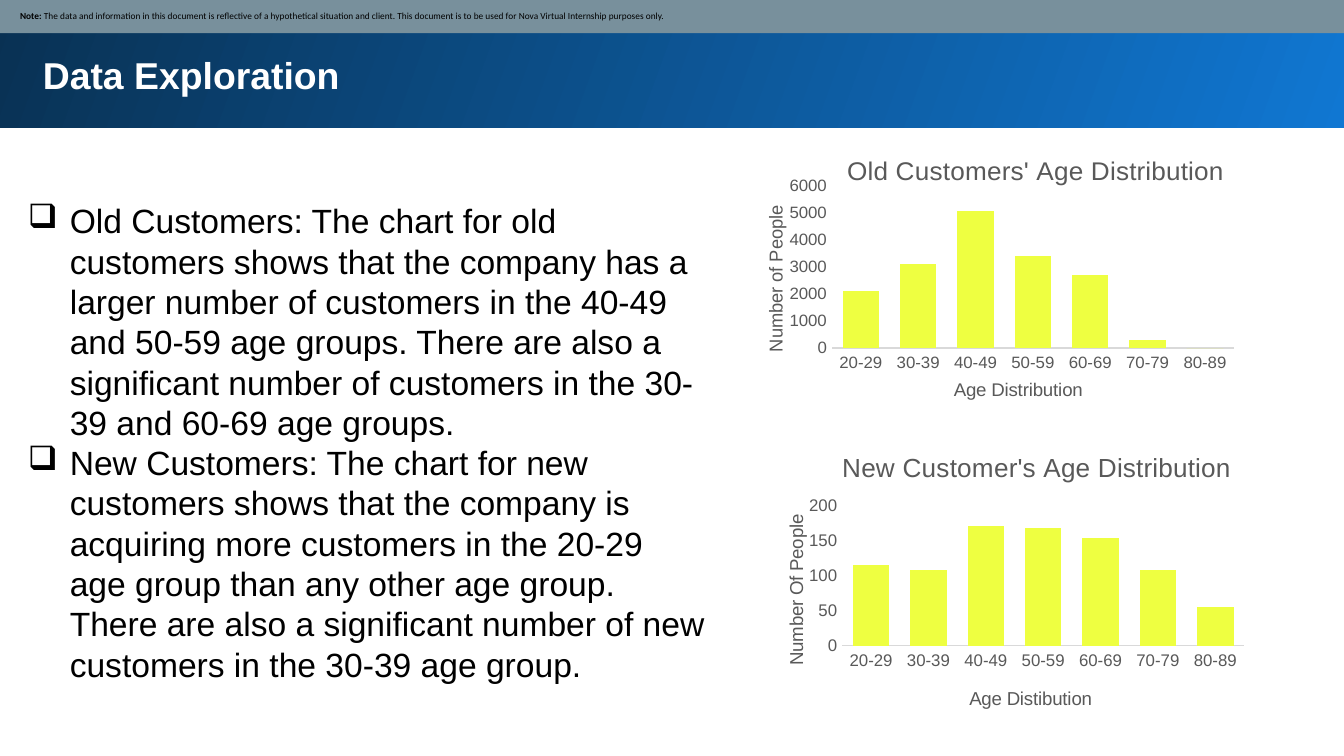
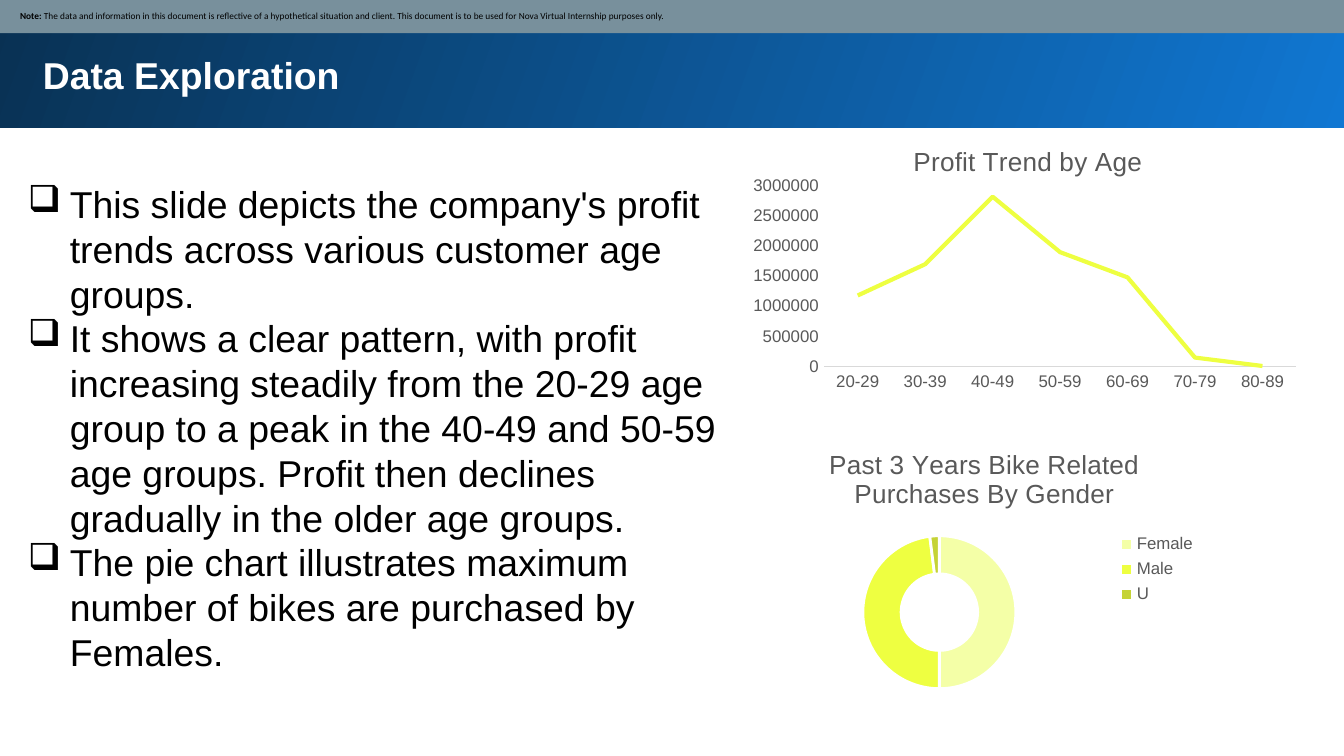
from lxml.etree import SubElement
from pptx import Presentation
from pptx.chart.data import CategoryChartData
from pptx.dml.color import RGBColor
from pptx.enum.chart import XL_CHART_TYPE as ChartType, XL_LEGEND_POSITION as LegendPosition
from pptx.enum.chart import XL_MARKER_STYLE as Marker, XL_TICK_MARK as Tick
from pptx.enum.shapes import MSO_SHAPE as Shape
from pptx.enum.text import MSO_ANCHOR as Anchor, PP_ALIGN as Align
from pptx.oxml import parse_xml
from pptx.oxml.ns import nsdecls, qn
from pptx.util import Cm, Pt

BLACK = RGBColor(0x00, 0x00, 0x00)
WHITE = RGBColor(0xFF, 0xFF, 0xFF)
BRIGHT_BLUE = RGBColor(0x10, 0x77, 0xD2)
NAVY = RGBColor(0x09, 0x31, 0x53)
SLATE = RGBColor(0x78, 0x90, 0x9C)
GREY = RGBColor(0x59, 0x59, 0x59)
LIGHT_GREY = RGBColor(0xD9, 0xD9, 0xD9)
PALE_YELLOW = RGBColor(0xF4, 0xFF, 0xA7)
YELLOW = RGBColor(0xEE, 0xFF, 0x41)
OLIVE = RGBColor(0xC5, 0xD3, 0x36)

BAND = (-0.08, 0.08, 25.53, 2.34)
TITLE = (0.56, 0.74, 23.8, 1.37)
NOTE = (-0.03, -0.03, 25.48, 0.66)
NOTE_TEXT = (
    "Note: ",
    "The data and information in this document is reflective of a hypothetical situation "
    "and client. This document is to be used for Nova Virtual Internship purposes only.",
)
AGES = ["20-29", "30-39", "40-49", "50-59", "60-69", "70-79", "80-89"]

SLIDES = [
    {
        "title": "Data Exploration",
        "text_at": (0.28, 3.66, 13.36, 9.5),
        "size": 18,
        "bullets": [
            "Old Customers: The chart for old customers shows that the company has a larger "
            "number of customers in the 40-49 and 50-59 age groups. There are also a "
            "significant number of customers in the 30-39 and 60-69 age groups.",
            "New Customers: The chart for new customers shows that the company is acquiring "
            "more customers in the 20-29 age group than any other age group. There are also "
            "a significant number of new customers in the 30-39 age group.",
        ],
        "charts": [
            {
                "kind": ChartType.COLUMN_CLUSTERED,
                "at": (14.17, 2.57, 9.73, 5.11),
                "title": "Old Customers' Age Distribution",
                "title_at": (0.18, 0.05),
                "categories": AGES,
                "values": [2100, 3100, 5100, 3400, 2700, 300, 0],
                "plot_at": (0.16, 0.19, 0.78, 0.61),
                "category_title": ("Age Distribution", (0.39, 0.9)),
                "value_title": ("Number of People", (0.02, 0.26)),
            },
            {
                "kind": ChartType.COLUMN_CLUSTERED,
                "at": (14.17, 8.15, 9.73, 5.41),
                "title": "New Customer's Age Distribution",
                "title_at": (0.17, 0.05),
                "categories": AGES,
                "values": [115, 108, 171, 168, 153, 108, 55],
                "plot_at": (0.18, 0.26, 0.78, 0.49),
                "category_title": ("Age Distibution", (0.42, 0.88)),
                "value_title": ("Number Of People", (0.06, 0.28)),
            },
        ],
    },
    {
        "title": "Data Exploration",
        "text_at": (0.28, 3.3, 13.92, 9.65),
        "size": 20,
        "bullets": [
            "This slide depicts the company's profit trends across various customer age groups.",
            "It shows a clear pattern, with profit increasing steadily from the 20-29 age group "
            "to a peak in the 40-49 and 50-59 age groups. Profit then declines gradually in the "
            "older age groups.",
            "The pie chart illustrates maximum number of bikes are purchased by Females.",
        ],
        "charts": [
            {
                "kind": ChartType.LINE,
                "at": (13.92, 2.41, 11.02, 5.26),
                "title": "Profit Trend by Age",
                "categories": AGES,
                "values": [1180000, 1700000, 2820000, 1900000, 1480000, 150000, 10000],
                "plot_at": (0.15, 0.21, 0.81, 0.65),
            },
            {
                "kind": ChartType.DOUGHNUT,
                "at": (14.35, 8.13, 8.51, 5.26),
                "title": "Past 3 Years Bike Related Purchases By Gender",
                "categories": ["Female", "Male", "U"],
                "values": [50, 48, 2],
                "plot_at": (0.23, 0.38, 0.34, 0.55),
            },
        ],
    },
]


def lengths(at):
    return [Cm(value) for value in at]


def style(font, size, color, bold=False, name="Arial"):
    font.name = name
    font.size = Pt(size)
    font.bold = bold
    font.color.rgb = color


def add_run(para, text, *look, **options):
    span = para.add_run()
    span.text = text
    style(span.font, *look, **options)


def add_bar(page, at):
    bar = page.shapes.add_shape(Shape.RECTANGLE, *lengths(at))
    bar.shadow.inherit = False
    bar.line.fill.background()
    return bar


def add_text_box(page, at):
    box = page.shapes.add_textbox(*lengths(at))
    box.text_frame.word_wrap = True
    return box.text_frame


def add_header(page, title):
    band = add_bar(page, BAND)
    band.fill.gradient()
    band.fill.gradient_angle = 160
    for stop, color in zip(band.fill.gradient_stops, (BRIGHT_BLUE, NAVY)):
        stop.color.rgb = color

    frame = add_text_box(page, TITLE)
    frame.margin_left = frame.margin_right = Cm(0.25)
    frame.margin_top = frame.margin_bottom = Cm(0.25)
    add_run(frame.paragraphs[0], title, 20, WHITE, bold=True)

    note = add_bar(page, NOTE)
    note.fill.solid()
    note.fill.fore_color.rgb = SLATE
    frame = note.text_frame
    frame.word_wrap = True
    frame.vertical_anchor = Anchor.MIDDLE
    frame.margin_left = Cm(0.41)
    frame.margin_right = frame.margin_top = frame.margin_bottom = Cm(0.13)
    para = frame.paragraphs[0]
    para.alignment = Align.LEFT
    for text, bold in zip(NOTE_TEXT, (True, False)):
        add_run(para, text, 5, BLACK, bold=bold, name="Calibri")


def add_bullets(page, at, bullets, size):
    frame = add_text_box(page, at)
    for index, text in enumerate(bullets):
        para = frame.add_paragraph() if index else frame.paragraphs[0]
        para.line_spacing = Pt(size * 1.2)
        add_run(para, text, size, BLACK)
        properties = para._p.get_or_add_pPr()
        properties.set("marL", str(Cm(0.79)))
        properties.set("indent", str(-Cm(0.79)))
        SubElement(properties, qn("a:buChar")).set("char", "❑")


def set_layout(element, position, at, inner=False):
    for old in element.findall(qn("c:layout")):
        element.remove(old)
    settings = [("layoutTarget", "inner")] if inner else []
    settings += [("xMode", "edge"), ("yMode", "edge")]
    settings += zip("xywh", at)
    children = "".join(f'<c:{tag} val="{value}"/>' for tag, value in settings)
    element.insert(position, parse_xml(
        f'<c:layout {nsdecls("c")}><c:manualLayout>{children}</c:manualLayout></c:layout>'))


def write_title(title, text, size, at=None, rotation=None):
    frame = title.text_frame
    add_run(frame.paragraphs[0], text, size, GREY)
    if rotation is not None:
        frame._txBody.bodyPr.set("rot", str(rotation * 60000))
        frame._txBody.bodyPr.set("vert", "horz")
    if at:
        set_layout(title._element, 1, at)


def style_axes(chart, item):
    axes = (chart.category_axis, "category_title", 0), (chart.value_axis, "value_title", -90)
    for axis, key, rotation in axes:
        axis.has_major_gridlines = False
        axis.major_tick_mark = axis.minor_tick_mark = Tick.NONE
        style(axis.tick_labels.font, 9, GREY)
        if key in item:
            text, at = item[key]
            write_title(axis.axis_title, text, 10, at, rotation)
    line = chart.category_axis.format.line
    line.color.rgb = LIGHT_GREY
    line.width = Pt(0.75)
    chart.value_axis.format.line.fill.background()


def style_columns(plot, series):
    plot.gap_width = 57
    plot.overlap = -27
    series.format.fill.solid()
    series.format.fill.fore_color.rgb = YELLOW


def style_line(series):
    series.smooth = False
    series.marker.style = Marker.NONE
    series.format.line.color.rgb = YELLOW
    series.format.line.width = Pt(2.25)


def style_ring(chart, plot, series):
    plot._element.find(qn("c:holeSize")).set("val", "51")
    for index, color in enumerate((PALE_YELLOW, YELLOW, OLIVE)):
        look = series.points[index].format
        look.fill.solid()
        look.fill.fore_color.rgb = color
        look.line.color.rgb = WHITE
        look.line.width = Pt(1.5)
    chart.has_legend = True
    chart.legend.position = LegendPosition.RIGHT
    chart.legend.include_in_layout = False
    style(chart.legend.font, 9, GREY)


def add_chart(page, item):
    data = CategoryChartData()
    data.categories = item["categories"]
    data.add_series("Series 1", item["values"])
    chart = page.shapes.add_chart(item["kind"], *lengths(item["at"]), data).chart
    style(chart.font, 10, BLACK)
    chart.has_legend = False
    chart.has_title = True
    write_title(chart.chart_title, item["title"], 14, item.get("title_at"))
    chart.chart_title.include_in_layout = False
    plot = chart.plots[0]
    series = plot.series[0]
    ring = item["kind"] == ChartType.DOUGHNUT
    plot.vary_by_categories = ring
    if ring:
        style_ring(chart, plot, series)
    else:
        style_axes(chart, item)
        if item["kind"] == ChartType.LINE:
            style_line(series)
        else:
            style_columns(plot, series)
    set_layout(chart._chartSpace.chart.plotArea, 0, item["plot_at"], inner=True)


def main():
    deck = Presentation()
    deck.slide_width, deck.slide_height = Cm(25.4), Cm(14.29)
    for content in SLIDES:
        page = deck.slides.add_slide(deck.slide_layouts[6])
        add_header(page, content["title"])
        for item in content["charts"]:
            add_chart(page, item)
        add_bullets(page, content["text_at"], content["bullets"], content["size"])
    deck.save("out.pptx")


if __name__ == "__main__":
    main()
